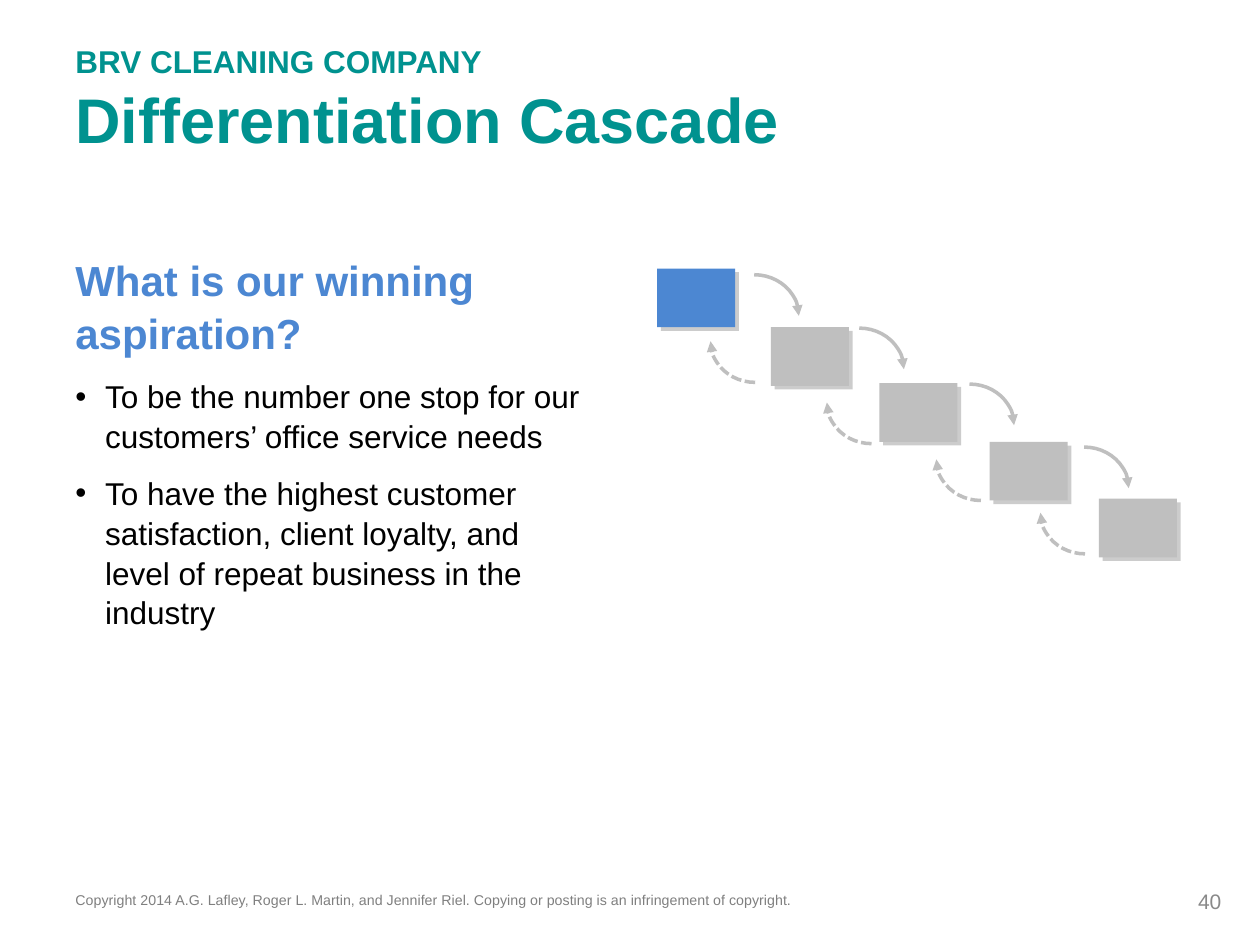
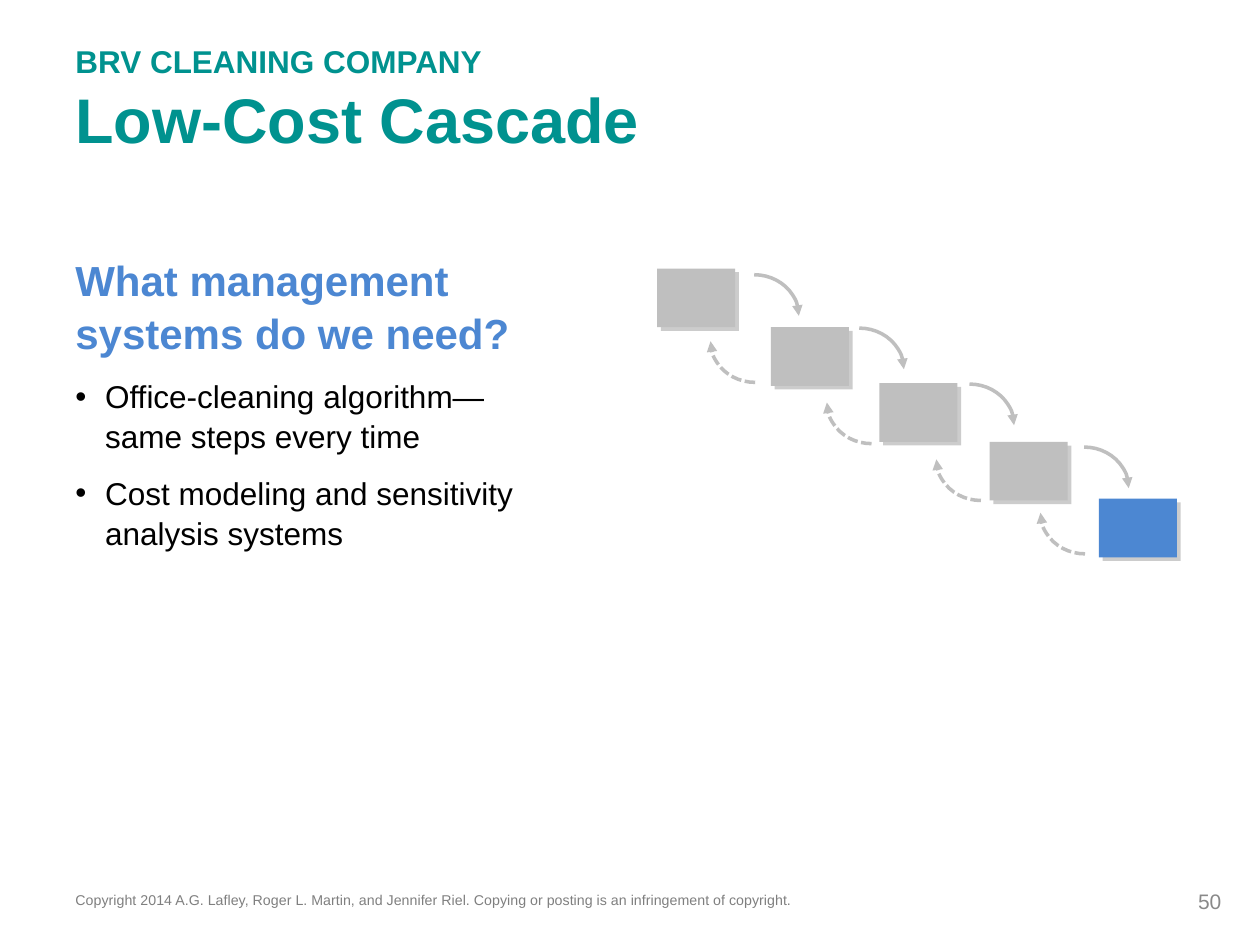
import pptx
import pptx.dml.color
import pptx.enum.dml
import pptx.enum.shapes
import pptx.enum.text
import pptx.oxml
import pptx.oxml.ns
import pptx.util

Pt = pptx.util.Pt
SHAPE = pptx.enum.shapes.MSO_SHAPE
ANCHOR = pptx.enum.text.MSO_ANCHOR
ALIGN = pptx.enum.text.PP_ALIGN

FONT = "Arial"
COLORS = {
    "title": "00928F",
    "active": "4C87D2",
    "idle": "BFBFBF",
    "text": "000000",
    "footer": "7F7F7F",
    "number": "898989",
    "shadow": "808080",
}
COMPANY = "BRV CLEANING COMPANY"
COPYRIGHT = ("Copyright 2014 A.G. Lafley, Roger L. Martin, and Jennifer Riel. "
             "Copying or posting is an infringement of copyright.")

# Cascade geometry: left and top of each step and of the arrows between them
STEP_SIZE = (44.6, 33.5)
STEPS = [(375.5, 153.5), (440.5, 187), (502.5, 219), (565.5, 252.5), (628, 285)]
ARC_SIZE = (51, 47)
FORWARD_ARCS = [(405.5, 157), (465.5, 187.5), (528.5, 219.5), (594, 255.5)]
FEEDBACK_ARCS = [(406, 171.5), (472.5, 206.5), (535, 239), (594.5, 269.5)]

SLIDES = [
    {"title": "Differentiation Cascade", "number": "40", "active": 0,
     "question": "What is our winning aspiration?",
     "answers": [
         ["To be the number one stop for our customers’ office service needs"],
         ["To have the highest customer satisfaction, client loyalty, "
          "and level of repeat business in the industry"]]},
    {"title": "Low-Cost Cascade", "number": "50", "active": 4,
     "question": "What management systems do we need?",
     "answers": [
         ["Office-cleaning algorithm—", "same steps every time"],
         ["Cost modeling and sensitivity", "analysis systems"]]},
]


def rgb(name):
    return pptx.dml.color.RGBColor.from_string(COLORS[name])


def xml(tag, content="", **attrs):
    """Build one drawing element."""
    text = "".join(f' {key}="{value}"' for key, value in attrs.items())
    ns = pptx.oxml.ns.nsdecls("a")
    return pptx.oxml.parse_xml(f"<a:{tag} {ns}{text}>{content}</a:{tag}>")


def add_box(s, left, top, width, height, anchor=ANCHOR.TOP):
    tf = s.shapes.add_textbox(Pt(left), Pt(top), Pt(width), Pt(height)).text_frame
    tf.word_wrap = True
    tf.vertical_anchor = anchor
    return tf


def add_run(p, text, size, color, bold=False):
    r = p.add_run()
    r.text = text
    r.font.name = FONT
    r.font.size = Pt(size)
    r.font.bold = bold
    r.font.color.rgb = rgb(color)
    return r


def add_title(s, title):
    p = add_box(s, 36, 11.5, 600, 90, ANCHOR.MIDDLE).paragraphs[0]
    add_run(p, COMPANY, 18, "title", True)
    p.add_line_break()
    add_run(p, title, 36, "title", True)


def add_bullet(tf, lines):
    p = tf.add_paragraph()
    p.space_before = Pt(10)
    p.line_spacing = 1.05
    pPr = p._p.get_or_add_pPr()
    pPr.set("marL", str(Pt(17)))
    pPr.set("indent", str(-Pt(17)))
    pPr.append(xml("buFont", typeface=FONT))
    pPr.append(xml("buChar", char="•"))
    for i, line in enumerate(lines):
        if i:
            p.add_line_break()
        add_run(p, line, 18, "text")


def add_body(s, question, answers):
    tf = add_box(s, 36, 140.5, 307.5, 383)
    p = tf.paragraphs[0]
    p.line_spacing = 1.05
    add_run(p, question, 24, "active", True)
    for lines in answers:
        add_bullet(tf, lines)


def add_footer(s, number):
    p = add_box(s, 36, 504, 561, 24.5).paragraphs[0]
    r = add_run(p, COPYRIGHT, 14, "footer")
    r._r.get_or_add_rPr().set("baseline", "30000")

    p = add_box(s, 537, 500.5, 168, 29, ANCHOR.MIDDLE).paragraphs[0]
    p.alignment = ALIGN.RIGHT
    add_run(p, number, 12, "number")


def add_shape(s, kind, position, size):
    sp = s.shapes.add_shape(kind, *(Pt(v) for v in position + size))
    sp.shadow.inherit = False
    return sp


def add_step(s, position, color):
    sp = add_shape(s, SHAPE.RECTANGLE, position, STEP_SIZE)
    sp.fill.solid()
    sp.fill.fore_color.rgb = rgb(color)
    sp.line.fill.background()
    # Hard offset shadow to the lower right
    shade = f'<a:srgbClr val="{COLORS["shadow"]}"><a:alpha val="40000"/></a:srgbClr>'
    effects = sp._element.spPr.find(pptx.oxml.ns.qn("a:effectLst"))
    effects.append(xml("outerShdw", shade, blurRad=0, dist=Pt(3), dir=45 * 60000,
                       algn="ctr", rotWithShape=0))


def add_arc(s, position, feedback=False):
    sp = add_shape(s, SHAPE.ARC, position, ARC_SIZE)
    sp.fill.background()
    sp.line.color.rgb = rgb("idle")
    sp.line.width = Pt(2)
    if feedback:
        sp.rotation = 180
        sp.line.dash_style = pptx.enum.dml.MSO_LINE.SQUARE_DOT
    sp.line._get_or_add_ln().append(xml("tailEnd", type="triangle"))


def add_cascade(s, active):
    for i, position in enumerate(STEPS):
        add_step(s, position, "active" if i == active else "idle")
    for position in FORWARD_ARCS:
        add_arc(s, position)
    for position in FEEDBACK_ARCS:
        add_arc(s, position, feedback=True)


def main():
    prs = pptx.Presentation()
    prs.slide_width, prs.slide_height = Pt(720), Pt(540)
    for content in SLIDES:
        s = prs.slides.add_slide(prs.slide_layouts[6])
        add_title(s, content["title"])
        add_body(s, content["question"], content["answers"])
        add_cascade(s, content["active"])
        add_footer(s, content["number"])
    prs.save("out.pptx")


if __name__ == "__main__":
    main()
